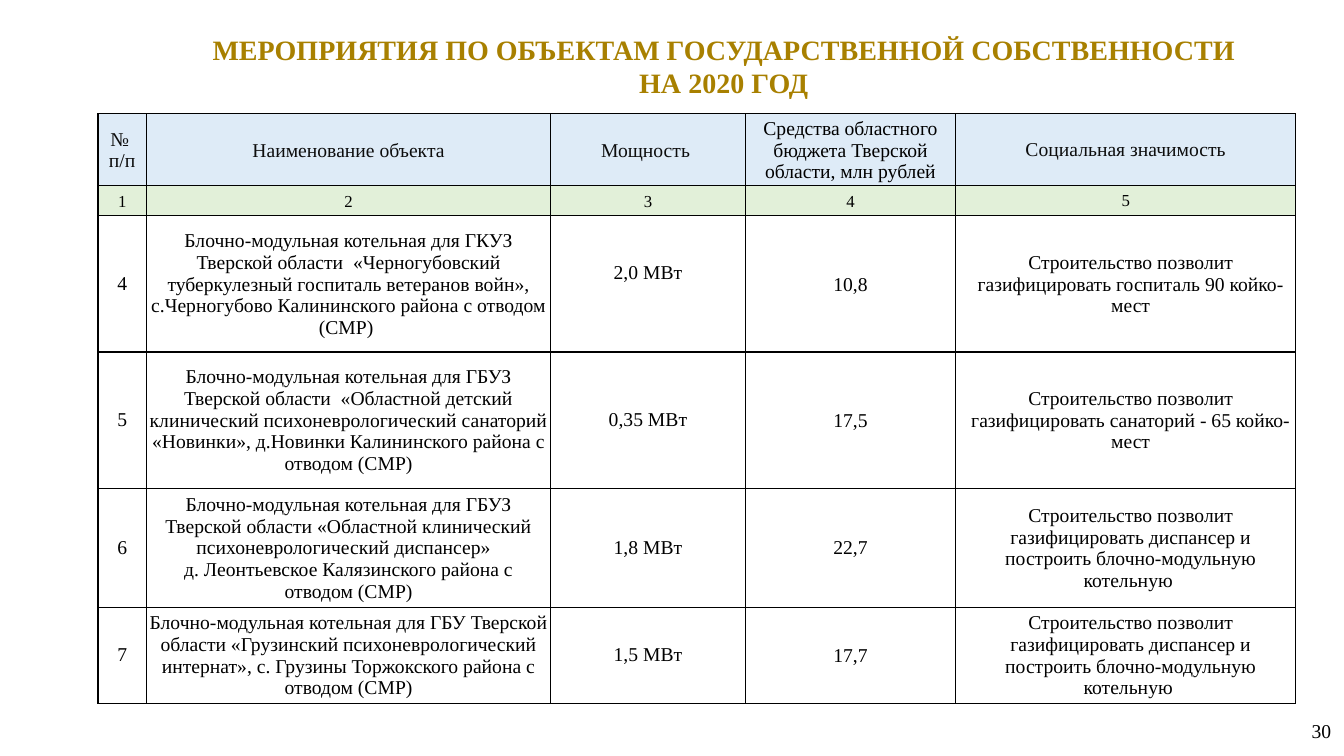
from lxml.etree import SubElement
from pptx import Presentation
from pptx.dml.color import RGBColor
from pptx.enum.text import MSO_ANCHOR, PP_ALIGN
from pptx.oxml.ns import qn
from pptx.util import Cm, Pt

HEAD_FILL, NUMBER_FILL, BODY_FILL = "DEEBF7", "E2F0D9", "FFFFFF"
BLACK, SOFT_BLACK, GOLD = "000000", "0D0D0D", "A88000"
COLUMN_WIDTHS = [1.22, 10.19, 4.9, 5.31, 8.56]
ROW_HEIGHTS = [1.81, 0.76, 3.43, 3.43, 3.0, 2.42]
TIGHT = {"margin_left": Cm(0.03), "margin_top": Cm(0.03),
         "margin_right": Cm(0.03), "margin_bottom": Cm(0)}
LOOSE = {"margin_left": Cm(0.25), "margin_top": Cm(0.13),
         "margin_right": Cm(0.25), "margin_bottom": Cm(0.13)}
RAISED = LOOSE | {"margin_bottom": Cm(0.7)}
DISPENSARY = "Строительство позволит газифицировать диспансер и построить блочно-модульную котельную "
ROWS = [
    ["№ \nп/п", "Наименование объекта", "Мощность ",
     "Средства областного бюджета Тверской области, млн рублей", "Социальная значимость"],
    ["1", "2", "3", "4", "5"],
    ["4", "Блочно-модульная котельная для ГКУЗ Тверской области  «Черногубовский "
     "туберкулезный госпиталь ветеранов войн», с.Черногубово Калининского района с отводом\n(СМР) ",
     "2,0 МВт", "10,8", "Строительство позволит газифицировать госпиталь 90 койко-мест"],
    ["5", "Блочно-модульная котельная для ГБУЗ Тверской области  «Областной детский "
     "клинический психоневрологический санаторий «Новинки», д.Новинки Калининского района "
     "с отводом (СМР)",
     "0,35 МВт", "17,5", "Строительство позволит газифицировать санаторий - 65 койко-мест"],
    ["6", "Блочно-модульная котельная для ГБУЗ Тверской области «Областной клинический "
     "психоневрологический диспансер»  \nд. Леонтьевское Калязинского района с отводом (СМР)",
     "1,8 МВт", "22,7", DISPENSARY],
    ["7", "Блочно-модульная котельная для ГБУ Тверской области «Грузинский "
     "психоневрологический интернат», с. Грузины Торжокского района с отводом (СМР)",
     "1,5 МВт", "17,7", DISPENSARY],
]


def color(value):
    return RGBColor.from_string(value)


def apply(target, values):
    for name, value in values.items():
        setattr(target, name, value)


def write(frame, text, size, ink, bold=False, indent=0):
    frame.text = text
    for para in frame.paragraphs:
        para.alignment = PP_ALIGN.CENTER
        if indent:
            properties = para._p.get_or_add_pPr()
            properties.set("marL", str(Cm(indent)))
            properties.set("indent", "0")
        for span in para.runs:
            apply(span.font, {"name": "Times New Roman", "size": Pt(size), "bold": bold})
            span.font.color.rgb = color(ink)


def add_borders(cell):
    properties = cell._tc.get_or_add_tcPr()
    for position, side in enumerate(("a:lnL", "a:lnR", "a:lnT", "a:lnB")):
        line = SubElement(properties, qn(side), w=str(Pt(1)))
        fill = SubElement(line, qn("a:solidFill"))
        SubElement(fill, qn("a:srgbClr"), val=BLACK)
        properties.remove(line)
        properties.insert(position, line)


def add_title(page, left, top, width, height):
    title = page.shapes.title
    apply(title, {"left": Cm(left), "top": Cm(top), "width": Cm(width), "height": Cm(height)})
    apply(title.text_frame, {"vertical_anchor": MSO_ANCHOR.TOP, "word_wrap": True,
                             "margin_left": Cm(0.33), "margin_right": Cm(0.33),
                             "margin_top": Cm(0.18), "margin_bottom": Cm(0.18)})
    write(title.text_frame, "МЕРОПРИЯТИЯ ПО ОБЪЕКТАМ ГОСУДАРСТВЕННОЙ СОБСТВЕННОСТИ\nНА 2020 ГОД",
          20, GOLD, bold=True)


def cell_margins(row, column):
    if (row, column) == (2, 2):
        return RAISED
    if row < 2:
        return LOOSE if column == 4 else TIGHT
    return LOOSE if column in (0, 2) else TIGHT


def add_objects_table(page, left, top):
    frame = page.shapes.add_table(len(ROWS), len(COLUMN_WIDTHS), Cm(left), Cm(top),
                                  Cm(sum(COLUMN_WIDTHS)), Cm(sum(ROW_HEIGHTS)))
    table = frame.table
    apply(table, {"first_row": False, "horz_banding": False})
    for column, width in zip(table.columns, COLUMN_WIDTHS):
        column.width = Cm(width)
    for row, height in zip(table.rows, ROW_HEIGHTS):
        row.height = Cm(height)
    fills = [HEAD_FILL, NUMBER_FILL] + [BODY_FILL] * (len(ROWS) - 2)
    for row, texts in enumerate(ROWS):
        for column, text in enumerate(texts):
            cell = table.cell(row, column)
            apply(cell, {"vertical_anchor": MSO_ANCHOR.MIDDLE} | cell_margins(row, column))
            cell.fill.solid()
            cell.fill.fore_color.rgb = color(fills[row])
            write(cell.text_frame, text, 12 if row == 1 else 14,
                  SOFT_BLACK if row == 0 and column != 3 else BLACK,
                  indent=0.25 if row > 1 and column == 4 else 0)
            add_borders(cell)


def add_page_number(page, left, top, width, height):
    box = page.shapes.add_textbox(Cm(left), Cm(top), Cm(width), Cm(height))
    apply(box.text_frame, {"word_wrap": True, "vertical_anchor": MSO_ANCHOR.MIDDLE})
    write(box.text_frame, "30", 14, BLACK)


def main():
    deck = Presentation()
    apply(deck, {"slide_width": Cm(33.87), "slide_height": Cm(19.05)})
    page = deck.slides.add_slide(deck.slide_layouts[5])
    add_title(page, 3.15, 0.63, 30.18, 1.7)
    add_objects_table(page, 2.47, 2.87)
    add_page_number(page, 32.64, 17.98, 1.32, 0.86)
    deck.save("out.pptx")


if __name__ == "__main__":
    main()
